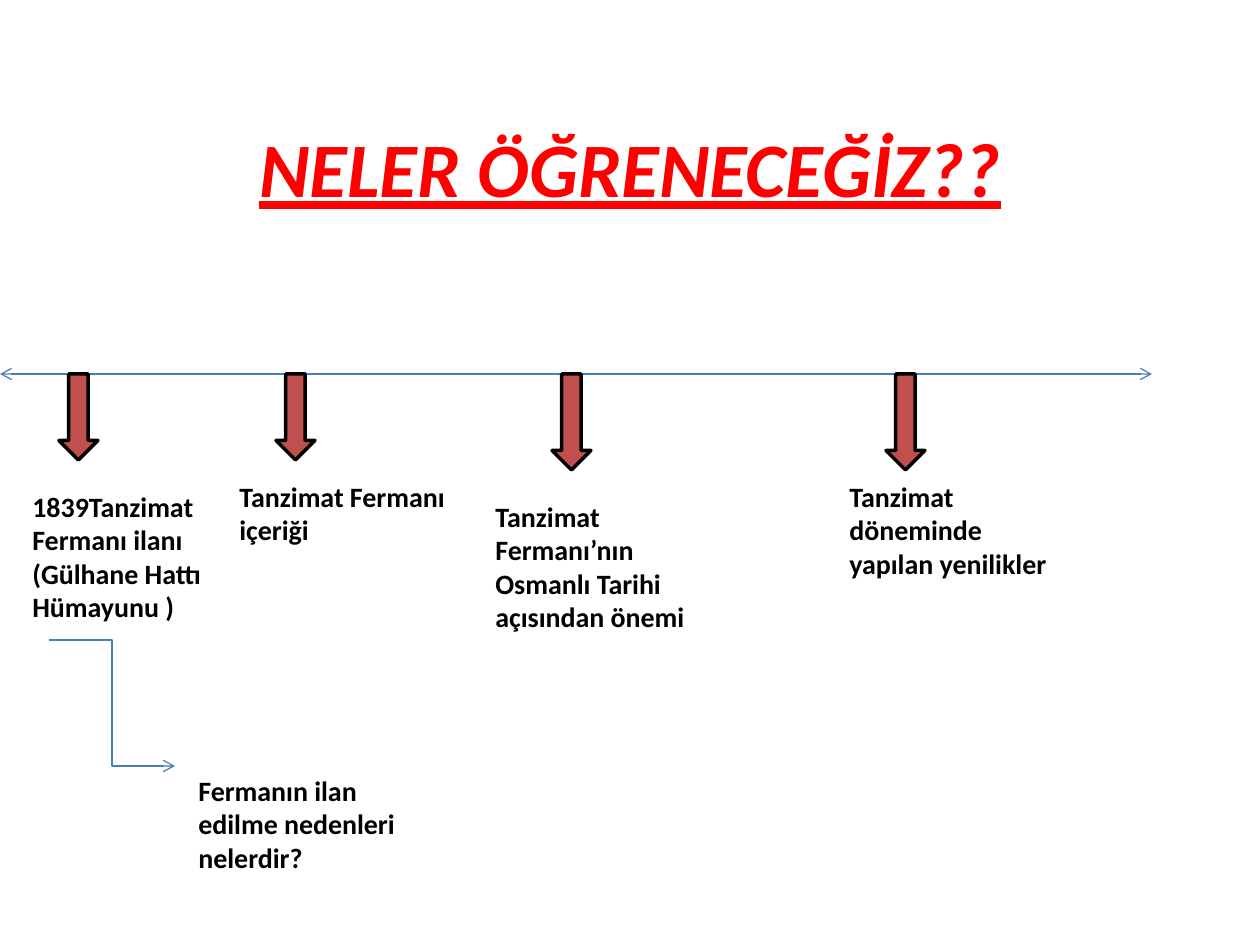
from dataclasses import dataclass

from lxml.etree import SubElement
from pptx import Presentation
from pptx.dml.color import RGBColor
from pptx.enum.shapes import MSO_CONNECTOR as Connector, MSO_SHAPE as Shape
from pptx.enum.text import MSO_ANCHOR as Anchor, PP_ALIGN as Align
from pptx.oxml.ns import qn
from pptx.util import Emu, Pt

PX_PER_INCH = 126
AXIS_Y = 374
ARROW_WIDTH = 39
RED, BRICK, BLUE, BLACK = "FF0000", "C0504D", "4A7EBB", "000000"
LABEL_FONT = {"name": "Calibri", "size": Pt(16), "bold": True}
TITLE_FONT = LABEL_FONT | {"size": Pt(44), "italic": True, "underline": True}


@dataclass
class Label:
    text: str
    left: int
    top: int
    width: int
    height: int


@dataclass
class Milestone:
    arrow_left: int
    arrow_height: int
    label: Label


TITLE = Label("NELER ÖĞRENECEĞİZ??", 63, 38, 1134, 257)
MILESTONES = [
    Milestone(59, 86, Label("1839Tanzimat Fermanı ilanı (Gülhane Hattı Hümayunu )",
                            20, 483, 217, 181)),
    Milestone(276, 86, Label("Tanzimat Fermanı içeriği", 227, 473, 256, 81)),
    Milestone(552, 96, Label("Tanzimat Fermanı’nın Osmanlı Tarihi açısından önemi",
                             483, 493, 246, 147)),
    Milestone(886, 96, Label("Tanzimat döneminde yapılan yenilikler",
                             837, 473, 237, 113)),
]
QUESTION = Label("Fermanın ilan edilme nedenleri nelerdir?", 186, 767, 246, 113)


def px(length: int) -> Emu:
    return Emu(round(length * 914400 / PX_PER_INCH))


def color(value: str) -> RGBColor:
    return RGBColor.from_string(value)


def draw_text(slide, label: Label, font: dict, font_color: str = BLACK,
              align=Align.LEFT, anchor=Anchor.TOP) -> None:
    box = slide.shapes.add_textbox(
        px(label.left), px(label.top), px(label.width), px(label.height))
    frame = box.text_frame
    frame.word_wrap = True
    frame.vertical_anchor = anchor
    paragraph = frame.paragraphs[0]
    paragraph.alignment = align
    run = paragraph.add_run()
    run.text = label.text
    for name, value in font.items():
        setattr(run.font, name, value)
    run.font.color.rgb = color(font_color)


def draw_line(slide, kind, start: tuple[int, int], end: tuple[int, int],
              arrow_ends: tuple[str, ...]) -> None:
    connector = slide.shapes.add_connector(
        kind, *(px(length) for length in start + end))
    connector.line.color.rgb = color(BLUE)
    connector.line.width = Pt(0.75)
    properties = connector._element.spPr
    outline = properties.find(qn("a:ln"))
    for arrow_end in arrow_ends:
        SubElement(outline, qn(f"a:{arrow_end}"), type="arrow")
    SubElement(properties, qn("a:effectLst"))


def draw_milestone(slide, milestone: Milestone) -> None:
    arrow = slide.shapes.add_shape(
        Shape.DOWN_ARROW, px(milestone.arrow_left), px(AXIS_Y),
        px(ARROW_WIDTH), px(milestone.arrow_height))
    arrow.shadow.inherit = False
    arrow.fill.solid()
    arrow.fill.fore_color.rgb = color(BRICK)
    arrow.line.color.rgb = color(BLACK)
    arrow.line.width = Pt(2)
    draw_text(slide, milestone.label, LABEL_FONT)


def main() -> None:
    presentation = Presentation()
    presentation.slide_width, presentation.slide_height = px(1260), px(945)
    slide = presentation.slides.add_slide(presentation.slide_layouts[6])
    draw_text(slide, TITLE, TITLE_FONT, RED, Align.CENTER, Anchor.MIDDLE)
    draw_line(slide, Connector.STRAIGHT, (0, AXIS_Y), (1152, AXIS_Y),
              ("headEnd", "tailEnd"))
    for milestone in MILESTONES:
        draw_milestone(slide, milestone)
    draw_line(slide, Connector.ELBOW, (49, 640), (175, 766), ("tailEnd",))
    draw_text(slide, QUESTION, LABEL_FONT)
    presentation.save("out.pptx")


if __name__ == "__main__":
    main()
